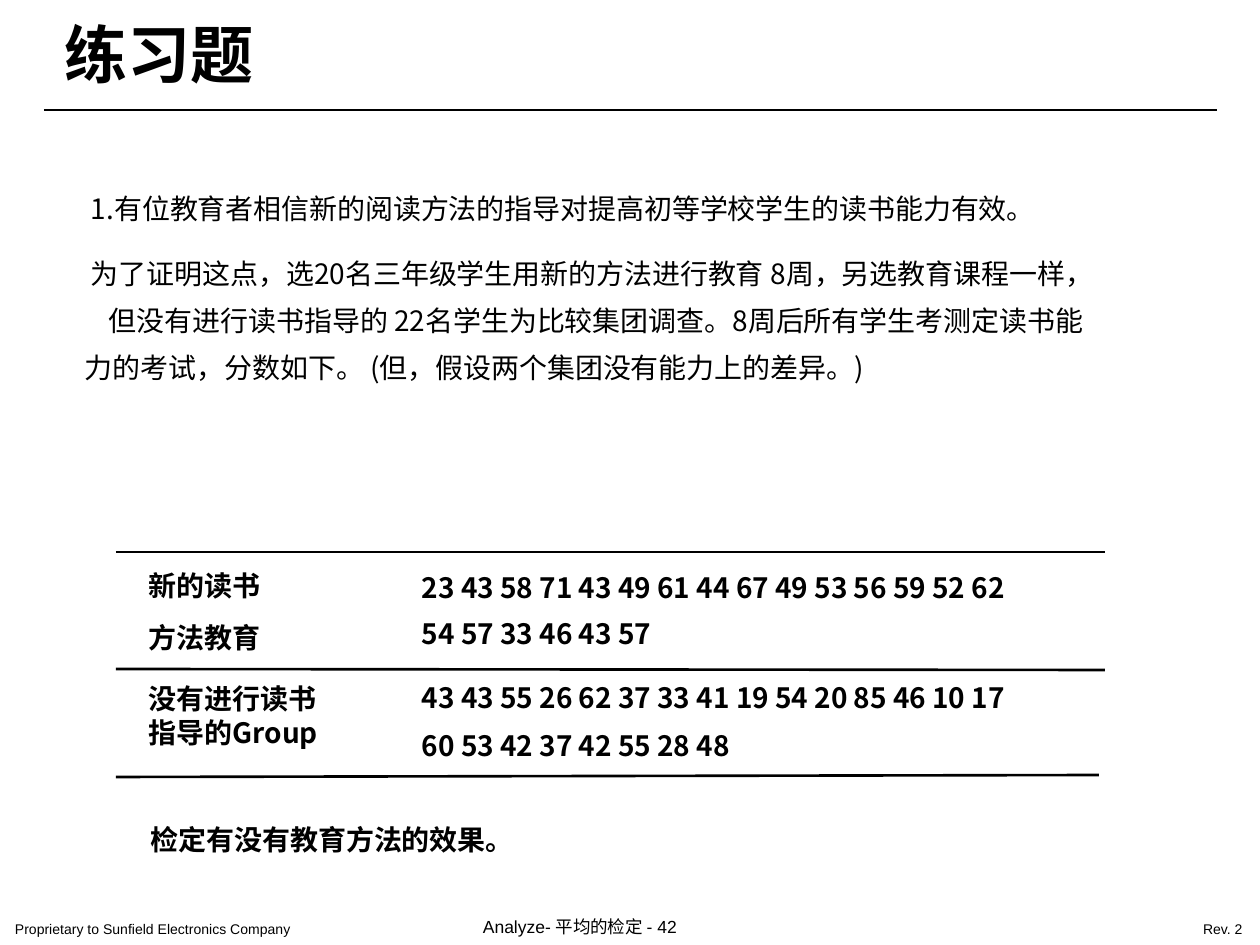
from lxml import etree
from pptx import Presentation
from pptx.dml.color import RGBColor
from pptx.enum.shapes import MSO_CONNECTOR
from pptx.oxml.ns import qn
from pptx.util import Emu, Pt

STRAIGHT = MSO_CONNECTOR.STRAIGHT
SCALE = 914400 / 126
COLORS = {"ink": "000000"}
CJK = "Noto Sans CJK SC"
LATIN = "Arial"
TITLE_FONT = "Times New Roman"
BODY_INSETS = (13, 6)
FOOTER_INSETS = (15, 8)

RULES = [
    (44, 110, 1217, 110),
    (116, 552, 1105, 552),
    (116, 669, 1105, 670),
    (116, 777, 1099, 775),
]
LABELS = [
    (563, 97, ["新的读书", "方法教育"]),
    (676, 81, ["没有进行读书指导的Group"]),
]
SCORES = [
    (564, "23 43 58 71 43 49 61 44 67 49 53 56 59 52 62"),
    (611, "54 57 33 46 43 57"),
    (675, "43 43 55 26 62 37 33 41 19 54 20 85 46 10 17"),
    (722, "60 53 42 37 42 55 28 48"),
]
FOOTERS = [
    (0, 913, 404, 8, "Proprietary to Sunfield Electronics Company"),
    (468, 908, 294, 10, "Analyze- 平均的检定 - 42"),
    (1188, 913, 72, 8, "Rev. 2"),
]
PROBLEM = [
    (6, 0.95, 0, "1.有位教育者相信新的阅读方法的指导对提高初等学校学生的读书能力有效。"),
    (6, 1.4, 10, "为了证明这点，选20名三年级学生用新的方法进行教育 8周，另选教育课程一样，"),
    (24, 1.4, 0, "但没有进行读书指导的 22名学生为比较集团调查。8周后所有学生考测定读书能"),
    (0, 1.4, 0, "力的考试，分数如下。 (但，假设两个集团没有能力上的差异。)"),
]


def px(n):
    """Turn pixels into EMU."""
    return Emu(round(n * SCALE))


def add_box(s, x, y, w, h, insets=BODY_INSETS, wrap=True):
    """Add an empty text box and return its text frame."""
    tf = s.shapes.add_textbox(px(x), px(y), px(w), px(h)).text_frame
    tf.word_wrap = wrap
    tf.margin_left = tf.margin_right = px(insets[0])
    tf.margin_top = tf.margin_bottom = px(insets[1])
    return tf


def add_run(p, text, size=16, font=CJK, bold=False):
    """Add one run with its Latin and East Asian fonts."""
    r = p.add_run()
    r.text = text
    r.font.size = Pt(size)
    r.font.name = font
    r.font.bold = bold
    r.font.color.rgb = RGBColor.from_string(COLORS["ink"])
    ea = etree.Element(qn("a:ea"), typeface=CJK)
    r.font._element.find(qn("a:latin")).addnext(ea)


def set_indent(p, left):
    """Set the left margin of a paragraph."""
    pPr = p._p.get_or_add_pPr()
    pPr.set("marL", str(px(left)))
    pPr.set("indent", "0")


def add_rule(s, x1, y1, x2, y2):
    """Add a thin straight rule."""
    c = s.shapes.add_connector(STRAIGHT, px(x1), px(y1), px(x2), px(y2))
    c.line.width = Pt(1.5)
    c.line.color.rgb = RGBColor.from_string(COLORS["ink"])
    etree.SubElement(c._element.spPr, qn("a:effectLst"))


def add_title(s):
    """Add the slide title."""
    tf = add_box(s, 52, 10, 260, 88)
    add_run(tf.paragraphs[0], "练习题", 36, TITLE_FONT, True)


def add_problem(s):
    """Add the exercise statement."""
    tf = add_box(s, 72, 188, 1116, 204)
    for i, (left, spacing, before, text) in enumerate(PROBLEM):
        p = tf.add_paragraph() if i else tf.paragraphs[0]
        set_indent(p, left)
        p.line_spacing = spacing
        p.space_before = Pt(before)
        add_run(p, text)


def add_label(s, y, h, lines):
    """Add the bold name of a group of scores."""
    tf = add_box(s, 136, y, 213, h)
    for i, line in enumerate(lines):
        p = tf.add_paragraph() if i else tf.paragraphs[0]
        if i:
            p.space_before = Pt(10)
        add_run(p, line, bold=True)


def add_scores(s, y, scores):
    """Add one line of scores."""
    tf = add_box(s, 409, y, 845, 47)
    add_run(tf.paragraphs[0], scores, bold=True)


def add_task(s):
    """Add the closing task."""
    p = add_box(s, 68, 816, 1018, 47).paragraphs[0]
    set_indent(p, 70)
    add_run(p, "检定有没有教育方法的效果。", bold=True)


def add_footer(s, x, y, w, size, text):
    """Add one footer entry."""
    tf = add_box(s, x, y, w, 32, FOOTER_INSETS, wrap=False)
    add_run(tf.paragraphs[0], text, size, LATIN)


def main():
    """Build and save the slide."""
    prs = Presentation()
    prs.slide_width, prs.slide_height = px(1260), px(945)
    s = prs.slides.add_slide(prs.slide_layouts[6])
    add_title(s)
    add_problem(s)
    for rule in RULES:
        add_rule(s, *rule)
    for label in LABELS:
        add_label(s, *label)
    for row in SCORES:
        add_scores(s, *row)
    add_task(s)
    for footer in FOOTERS:
        add_footer(s, *footer)
    prs.save("out.pptx")


if __name__ == "__main__":
    main()
